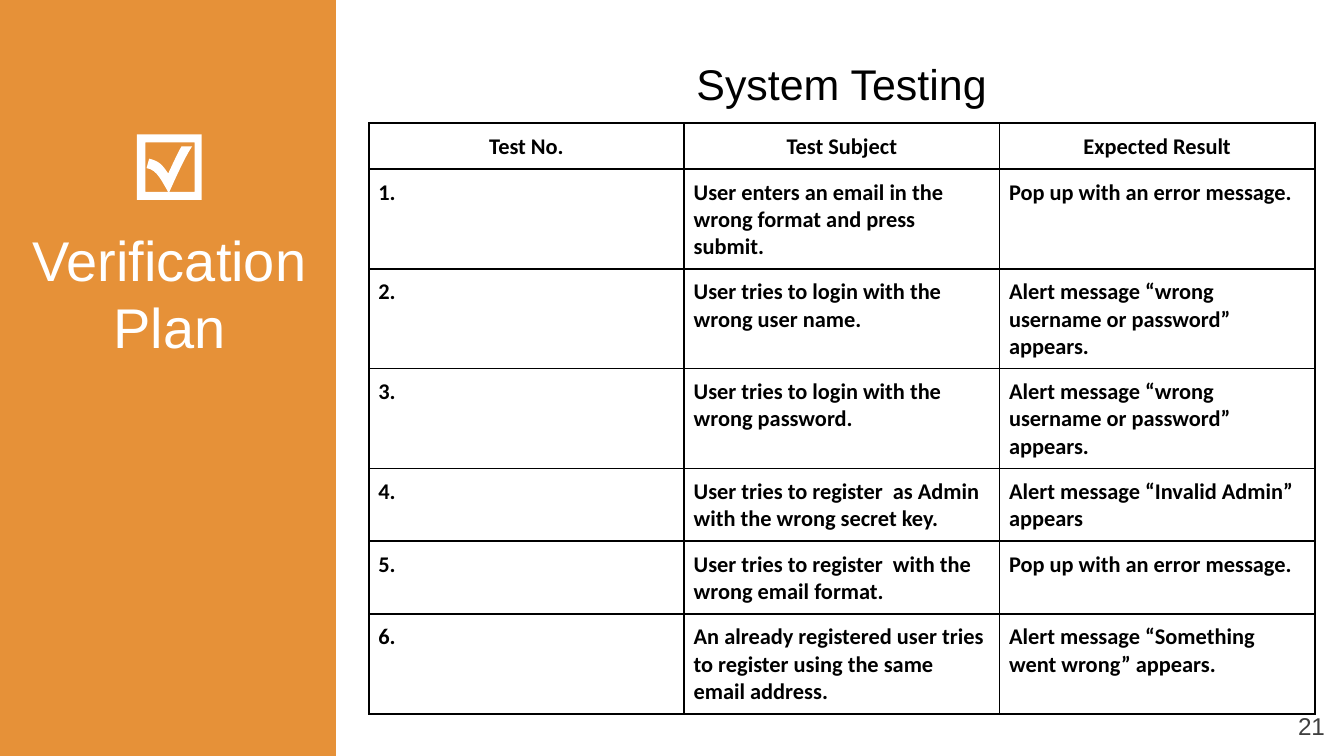
from lxml.etree import SubElement as Sub
from pptx import Presentation
from pptx.dml.color import RGBColor
from pptx.enum.shapes import MSO_SHAPE as Shape
from pptx.enum.text import MSO_ANCHOR as Anchor, PP_ALIGN as Align
from pptx.oxml.ns import qn
from pptx.util import Cm, Pt

ORANGE = RGBColor(0xE6, 0x91, 0x38)
WHITE = RGBColor(0xFF, 0xFF, 0xFF)
BLACK = RGBColor(0, 0, 0)
GRAY = RGBColor(0x3F, 0x3F, 0x3F)

HEAD = ("Test No.", "Test Subject", "Expected Result")
POPUP = "Pop up with an error message."
ALERT = "Alert message “wrong username or password” appears."
TESTS = [
    ("User enters an email in the wrong format and press submit.", POPUP),
    ("User tries to login with the wrong user name.", ALERT),
    ("User tries to login with the wrong password.", ALERT),
    ("User tries to register  as Admin with the wrong secret key.",
     "Alert message “Invalid Admin” appears"),
    ("User tries to register  with the wrong email format.", POPUP),
    ("An already registered user tries to register using the same email address.",
     "Alert message “Something went wrong” appears."),
]


def style(para, font, size, color, align, bold=False):
    para.alignment = align
    para.font.name = font
    para.font.size = Pt(size)
    para.font.color.rgb = color
    para.font.bold = bold


def paint(shape, color):
    shape.shadow.inherit = False
    shape.fill.solid()
    shape.fill.fore_color.rgb = color
    shape.line.fill.background()


def add_panel(slide, wide, high):
    paint(slide.shapes.add_shape(Shape.RECTANGLE, 0, 0, wide, high), ORANGE)


def add_label(slide, text, box, size, color, align=Align.CENTER, anchor=Anchor.TOP):
    frame = slide.shapes.add_textbox(*map(Cm, box)).text_frame
    frame.word_wrap = True
    frame.vertical_anchor = anchor
    frame.text = text
    style(frame.paragraphs[0], "Arial", size, color, align)


def curve(*ends, steps=8):
    """Return points along a cubic Bezier, without its start."""
    out = []
    for i in range(1, steps + 1):
        t = i / steps
        mix = ((1 - t) ** 3, 3 * t * (1 - t) ** 2, 3 * t * t * (1 - t), t ** 3)
        out.append(tuple(sum(m * p[k] for m, p in zip(mix, ends)) for k in (0, 1)))
    return out


def add_tick(slide):
    """Draw a ticked box: a square whose hole leaves room for the tick."""
    hole = [(2.75, 2.69), (2.75, 3.63), (3.18, 3.63)]
    hole += curve((3.18, 3.63), (3.07, 3.45), (2.97, 3.2), (2.77, 3.18))
    hole += [(2.82, 3)]
    hole += curve((2.82, 3), (3.02, 3.05), (3.07, 3.12), (3.18, 3.28))
    hole += curve((3.18, 3.28), (3.28, 3.07), (3.33, 2.95), (3.43, 2.77))
    hole += [(3.63, 2.77)]
    hole += curve((3.63, 2.77), (3.48, 3), (3.33, 3.35), (3.2, 3.63))
    hole += [(3.68, 3.63), (3.68, 2.69)]
    frame = [(2.59, 2.54), (3.81, 2.54), (3.81, 3.78), (2.59, 3.78)]
    hole, frame = ([(Cm(x), Cm(y)) for x, y in ring] for ring in (hole, frame))
    pen = slide.shapes.build_freeform(*hole[0])
    pen.add_line_segments(hole[1:])
    pen.move_to(*frame[0])
    pen.add_line_segments(frame[1:])
    paint(pen.convert_to_shape(), WHITE)


def add_edges(cell):
    props = cell._tc.get_or_add_tcPr()
    for i, side in enumerate(("a:lnL", "a:lnR", "a:lnT", "a:lnB")):
        line = props.makeelement(qn(side), {"w": str(Pt(1))})
        Sub(Sub(line, qn("a:solidFill")), qn("a:srgbClr"), val=str(BLACK))
        props.insert(i, line)


def fill_cell(cell, text, align):
    cell.text = text
    cell.margin_left = cell.margin_right = Cm(0.18)
    cell.margin_top = cell.margin_bottom = Cm(0.18)
    cell.fill.background()
    style(cell.text_frame.paragraphs[0], "Calibri", 12, BLACK, align, True)
    add_edges(cell)


def add_tests(slide):
    rows = [HEAD] + [(f"{n}.", *test) for n, test in enumerate(TESTS, 1)]
    wide, high = Cm(5.96), Cm(0.84)
    table = slide.shapes.add_table(len(rows), len(HEAD), Cm(6.97), Cm(2.33),
                                   wide * len(HEAD), high * len(rows)).table
    table.horz_banding = False
    table.rows[0].height = Cm(0.56)
    for r, row in enumerate(rows):
        for c, text in enumerate(row):
            fill_cell(table.cell(r, c), text, Align.LEFT if r else Align.CENTER)


def main():
    deck = Presentation()
    deck.slide_width, deck.slide_height = Cm(25.4), Cm(14.29)
    slide = deck.slides.add_slide(deck.slide_layouts[6])
    add_panel(slide, Cm(6.35), deck.slide_height)
    add_label(slide, "Verification Plan", (0.03, 4.14, 6.35, 2.82), 30, WHITE)
    add_label(slide, "21", (23.77, 13.18, 1.52, 1.09), 13, GRAY,
              Align.RIGHT, Anchor.MIDDLE)
    add_label(slide, "System Testing", (6.4, 0.97, 19.02, 1.24), 23, BLACK)
    add_tick(slide)
    add_tests(slide)
    deck.save("out.pptx")


if __name__ == "__main__":
    main()
